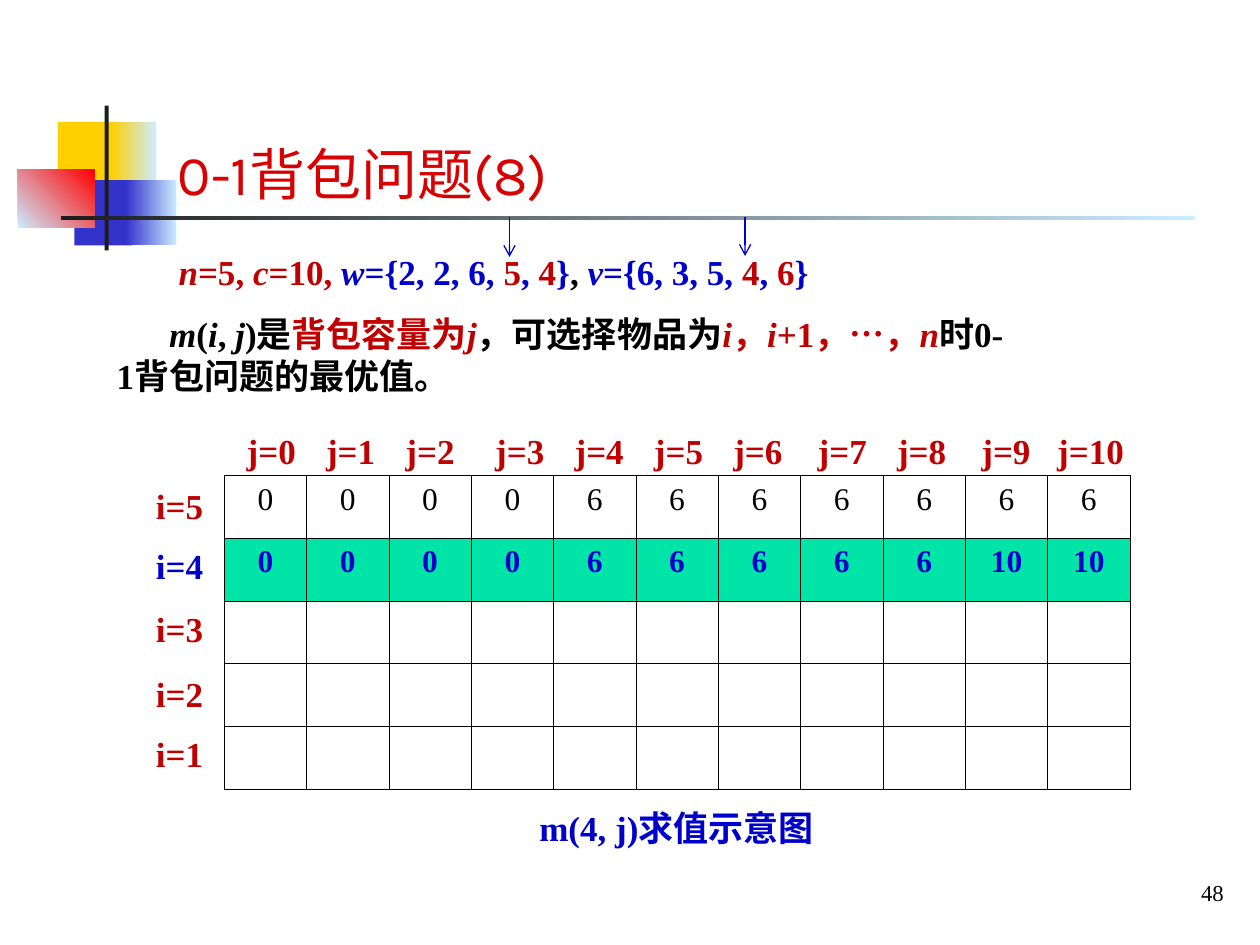
import pptx
import pptx.dml.color
import pptx.enum.shapes
import pptx.enum.text
import pptx.oxml
import pptx.oxml.ns
import pptx.util
from pptx.util import Cm

SERIF = "Times New Roman"
RED, BLUE, BLACK = "C00000", "0000CC", "000000"
GREEN, PALE, DARK = "00E4A8", "CCECFF", "1C1C1C"
LEFT = pptx.enum.text.PP_ALIGN.LEFT
CENTER = pptx.enum.text.PP_ALIGN.CENTER
RIGHT = pptx.enum.text.PP_ALIGN.RIGHT

# left, top, width, height in cm, then one colour or two for a gradient, and its angle
ORNAMENTS = [
    ((1.17, 2.46, 1.22, 1.32), ["FFCF01"], 0),
    ((2.24, 2.46, 0.91, 1.32), ["FFCF01", PALE], 0),
    ((1.5, 3.63, 1.17, 1.32), ["3333CC"], 0),
    ((2.54, 3.63, 1.02, 1.32), ["3333CC", PALE], 0),
    ((0.36, 3.42, 1.55, 1.17), [PALE, "FF0000"], 45),
    ((2.11, 2.13, 0.08, 2.92), [DARK], 0),
    ((1.23, 4.35, 22.86, 0.08), [DARK, PALE], 0),
]

# Runs: text, colour, italic
PARAMETERS = [
    ("n", RED, True), ("=5, ", RED, False), ("c", RED, True), ("=10, ", RED, False),
    ("w", BLUE, True), ("={2, 2, 6, ", BLUE, False), ("5", RED, False),
    (", ", BLUE, False), ("4", RED, False), ("}", BLUE, False), (", ", BLACK, False),
    ("v", BLUE, True), ("={6, 3, 5, ", BLUE, False), ("4", RED, False),
    (", ", BLUE, False), ("6", RED, False), ("}", BLUE, False),
]
DEFINITION = [
    ("m", BLACK, True), ("(", BLACK, False), ("i", BLACK, True), (", ", BLACK, False),
    ("j", BLACK, True), (")是", BLACK, False), ("背包容量为", RED, False),
    ("j", RED, True), ("，可选择物品为", BLACK, False), ("i", RED, True),
    ("，", RED, False), ("i", RED, True), ("+1，…，", RED, False), ("n", RED, True),
    ("时0-1背包问题的最优值。", BLACK, False),
]

ROW_LABEL_TOPS = [9.64, 10.85, 12.13, 13.44, 14.64]
COLUMN_LABEL_LEFTS = [4.72, 6.32, 7.92, 9.73, 11.33, 12.93, 14.53, 16.23, 17.83, 19.53, 21.06]
VALUES = [
    [0, 0, 0, 0, 6, 6, 6, 6, 6, 6, 6],
    [0, 0, 0, 0, 6, 6, 6, 6, 6, 10, 10],
]


def rgb(color):
    return pptx.dml.color.RGBColor.from_string(color)


def format_run(run, size, color, bold=False, italic=False, name=SERIF):
    font = run.font
    font.name = name
    font.size = pptx.util.Pt(size)
    font.bold = bold
    font.italic = italic
    font.color.rgb = rgb(color)


def add_ornament(slide, box, colors, angle):
    rectangle = pptx.enum.shapes.MSO_SHAPE.RECTANGLE
    shape = slide.shapes.add_shape(rectangle, *map(Cm, box))
    shape.shadow.inherit = False
    shape.line.fill.background()
    if len(colors) == 1:
        shape.fill.solid()
        shape.fill.fore_color.rgb = rgb(colors[0])
        return
    shape.fill.gradient()
    shape.fill.gradient_angle = angle
    for stop, color in zip(shape.fill.gradient_stops, colors):
        stop.color.rgb = rgb(color)


def set_title(slide, text):
    title = slide.shapes.title
    title.left, title.top, title.width, title.height = map(Cm, (3.33, 1.52, 21.39, 2.77))
    frame = title.text_frame
    frame.text = text
    frame.auto_size = pptx.enum.text.MSO_AUTO_SIZE.NONE
    frame.vertical_anchor = pptx.enum.text.MSO_ANCHOR.BOTTOM
    paragraph = frame.paragraphs[0]
    paragraph.alignment = LEFT
    format_run(paragraph.runs[0], 32, "D80000", name="Karla")


def add_text(slide, box, runs, size=20, bold=True, alignment=LEFT, wrap=False):
    frame = slide.shapes.add_textbox(*map(Cm, box)).text_frame
    frame.word_wrap = wrap
    paragraph = frame.paragraphs[0]
    paragraph.alignment = alignment
    for text, color, italic in runs:
        run = paragraph.add_run()
        run.text = text
        format_run(run, size, color, bold, italic)
    return frame


def set_borders(cell):
    properties = cell._tc.get_or_add_tcPr()
    for position, side in enumerate(("lnL", "lnR", "lnT", "lnB")):
        border = pptx.oxml.parse_xml(
            f'<a:{side} {pptx.oxml.ns.nsdecls("a")} w="5715"><a:solidFill>'
            f'<a:srgbClr val="{BLACK}"/></a:solidFill></a:{side}>')
        properties.insert(position, border)


def add_value_table(slide):
    row_count, column_count = len(ROW_LABEL_TOPS), len(COLUMN_LABEL_LEFTS)
    frame = slide.shapes.add_table(
        row_count, column_count, Cm(4.52), Cm(9.59), Cm(18.26), Cm(6.32))
    table = frame.table
    table.first_row = table.horz_banding = False
    for row_index in range(row_count):
        current = row_index == 1
        for column_index in range(column_count):
            cell = table.cell(row_index, column_index)
            if current:
                cell.fill.solid()
                cell.fill.fore_color.rgb = rgb(GREEN)
            else:
                cell.fill.background()
            set_borders(cell)
            if row_index < len(VALUES):
                cell.text = str(VALUES[row_index][column_index])
                paragraph = cell.text_frame.paragraphs[0]
                paragraph.alignment = CENTER
                format_run(paragraph.runs[0], 18, BLUE if current else BLACK, current)


def add_down_arrow(slide, x, top, bottom):
    straight = pptx.enum.shapes.MSO_CONNECTOR.STRAIGHT
    arrow = slide.shapes.add_connector(straight, Cm(x), Cm(top), Cm(x), Cm(bottom))
    arrow.line.color.rgb = rgb(BLUE)
    arrow.line.width = pptx.util.Pt(0.75)
    line = arrow.line._get_or_add_ln()
    namespace = pptx.oxml.ns.nsdecls("a")
    line.append(pptx.oxml.parse_xml(f'<a:tailEnd {namespace} type="arrow"/>'))
    arrow._element.spPr.append(pptx.oxml.parse_xml(f"<a:effectLst {namespace}/>"))


def main():
    presentation = pptx.Presentation()
    presentation.slide_width, presentation.slide_height = Cm(25.4), Cm(19.05)
    slide = presentation.slides.add_slide(presentation.slide_layouts[5])

    # Corner ornament, title and page number
    for box, colors, angle in ORNAMENTS:
        add_ornament(slide, box, colors, angle)
    set_title(slide, "0-1背包问题(8)")
    number = add_text(slide, (20.07, 17.53, 4.85, 0.94), [("48", BLACK, False)],
                      size=13, bold=False, alignment=RIGHT)
    number.vertical_anchor = pptx.enum.text.MSO_ANCHOR.MIDDLE

    # Table with row and column labels
    add_value_table(slide)
    for index, top in enumerate(ROW_LABEL_TOPS):
        color = BLUE if index == 1 else RED
        label = f"i={len(ROW_LABEL_TOPS) - index}"
        add_text(slide, (2.82, top, 1.6, 1.12), [(label, color, False)], alignment=CENTER)
    for index, left in enumerate(COLUMN_LABEL_LEFTS):
        width = 1.85 if index == 10 else 1.5
        add_text(slide, (left, 8.54, width, 1.12), [(f"j={index}", RED, False)],
                 alignment=CENTER)
    add_text(slide, (10.45, 16.13, 6.38, 1.12), [("m(4, j)求值示意图", BLUE, False)],
             alignment=CENTER)

    # Problem statement
    add_text(slide, (3.35, 4.93, 13.39, 1.12), PARAMETERS)
    definition = add_text(slide, (2.1, 6.18, 18.42, 1.96), DEFINITION, wrap=True)
    definition.paragraphs[0]._p.get_or_add_pPr().set("indent", str(Cm(1.06)))

    # Arrows to the current item's weight and value
    add_down_arrow(slide, 15.02, 4.37, 5.16)
    add_down_arrow(slide, 10.27, 4.37, 5.18)

    presentation.save("out.pptx")


if __name__ == "__main__":
    main()
